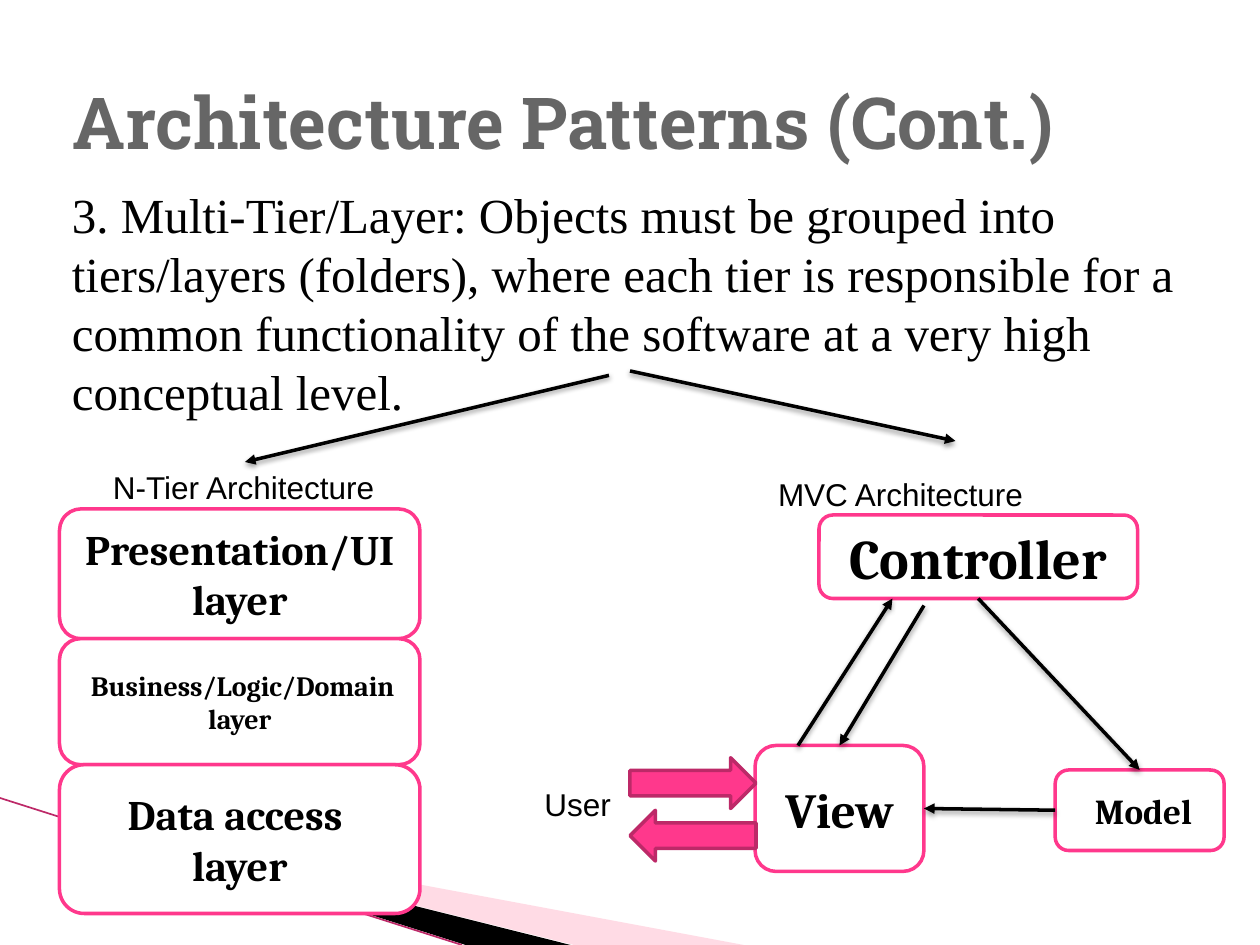
from lxml import etree
from pptx import Presentation
from pptx.dml.color import RGBColor
from pptx.enum.shapes import MSO_CONNECTOR as Connector, MSO_SHAPE as Shape
from pptx.enum.text import MSO_ANCHOR as Anchor, MSO_AUTO_SIZE as AutoSize, PP_ALIGN as Align
from pptx.oxml import parse_xml
from pptx.oxml.ns import nsdecls, qn
from pptx.util import Pt

BLACK, WHITE, PINK, DARK_PINK = "000000", "FFFFFF", "FF388C", "BD2968"
TOP, LEFT, BOTTOM, RIGHT = range(4)
ARROW_SHADOW = (
    f'<a:effectLst {nsdecls("a")}>'
    '<a:outerShdw blurRad="39370" dist="20320" dir="5400000" rotWithShape="0">'
    '<a:srgbClr val="000000"><a:alpha val="38000"/></a:srgbClr>'
    '</a:outerShdw></a:effectLst>'
)


def color(value):
    return RGBColor.from_string(value)


def points(*values):
    return [Pt(value) for value in values]


def write(paragraph, text, size, font_name, font_color=BLACK, bold=False):
    for index, line in enumerate(text.split("\n")):
        if index:
            paragraph.add_line_break()
        run = paragraph.add_run()
        run.text = line
        font = run.font
        font.size, font.name, font.bold = Pt(size), font_name, bold
        font.color.rgb = color(font_color)


def add_text(slide, box, text, size, font_name, wrap=False):
    frame = slide.shapes.add_textbox(*points(*box)).text_frame
    frame.word_wrap = wrap
    write(frame.paragraphs[0], text, size, font_name)


def add_shape(slide, kind, box, fill, line):
    shape = slide.shapes.add_shape(kind, *points(*box))
    shape.shadow.inherit = False
    shape.fill.solid()
    shape.fill.fore_color.rgb = color(fill)
    shape.line.color.rgb = color(line)
    shape.line.width = Pt(2)
    return shape


def add_component(slide, box, text, size):
    shape = add_shape(slide, Shape.ROUNDED_RECTANGLE, box, WHITE, PINK)
    frame = shape.text_frame
    frame.word_wrap = True
    frame.vertical_anchor = Anchor.MIDDLE
    frame.paragraphs[0].alignment = Align.CENTER
    write(frame.paragraphs[0], text, size, "Cambria", bold=True)
    return shape


def add_line(slide, start, end, line_color, width):
    line = slide.shapes.add_connector(Connector.STRAIGHT, *points(*start, *end))
    line.line.color.rgb = color(line_color)
    line.line.width = Pt(width)
    return line


def add_arrow(slide, start, end, begin_joint=None, end_joint=None):
    arrow = add_line(slide, start, end, BLACK, 2)
    if begin_joint:
        arrow.begin_connect(*begin_joint)
    if end_joint:
        arrow.end_connect(*end_joint)
    etree.SubElement(arrow.line._get_or_add_ln(), qn("a:tailEnd"), type="triangle")
    arrow._element.spPr.append(parse_xml(ARROW_SHADOW))


def add_wedge(slide, corners, fill, opacity=100):
    corners = [points(*corner) for corner in corners]
    builder = slide.shapes.build_freeform(*corners[0])
    builder.add_line_segments(corners[1:])
    wedge = builder.convert_to_shape()
    wedge.shadow.inherit = False
    wedge.fill.solid()
    wedge.fill.fore_color.rgb = color(fill)
    wedge.line.fill.background()
    if opacity < 100:
        swatch = wedge._element.spPr.find(f'.//{qn("a:srgbClr")}')
        etree.SubElement(swatch, qn("a:alpha"), val=str(opacity * 1000))


def add_decoration(slide, left, bottom):
    tip = (left + 39, bottom - 72)
    add_wedge(slide, [tip, (left + 425, bottom), (left + 328, bottom)], "FFA5BF", 40)
    add_wedge(slide, [tip, (left + 326, bottom), (left + 266, bottom)], BLACK)
    line = add_line(slide, (left, bottom - 84), (left + 264, bottom), DARK_PINK, 0.95)
    etree.SubElement(line._element.spPr, qn("a:effectLst"))


def add_heading(slide, left, top, width):
    title = slide.shapes.title
    title.left, title.top, title.width, title.height = points(left, top, width, 66)
    frame = title.text_frame
    frame.word_wrap = True
    frame.auto_size = AutoSize.NONE
    frame.vertical_anchor = Anchor.MIDDLE
    frame.paragraphs[0].alignment = Align.LEFT
    write(frame.paragraphs[0], "Architecture Patterns (Cont.)", 41, "Roboto Slab", "666666", True)
    add_text(
        slide, (left, top + 66, 652, 143),
        "3. Multi-Tier/Layer: Objects must be grouped into tiers/layers (folders), "
        "where each tier is responsible for a common functionality of the software "
        "at a very high conceptual level.",
        28, "Times New Roman", wrap=True)


def add_tiers(slide, left, top, width):
    add_text(slide, (left + 23.5, top, 166, 29), "N-Tier Architecture", 18, "Arial")
    tier_top = top + 26.8
    for text, size, height in [
        ("Presentation/UI layer", 24, 74.2),
        (" Business/Logic/Domain layer", 16, 72),
        ("Data access \nlayer", 24, 85),
    ]:
        add_component(slide, (left, tier_top, width, height), text, size)
        tier_top += height


def add_mvc(slide, left, top):
    add_text(slide, (left + 133.5, top - 0.3, 156, 29), "MVC Architecture", 18, "Arial")
    controller = add_component(
        slide, (left + 164, top + 26.3, 182, 47.7), "Controller", 32)
    model = add_component(slide, (left + 299, top + 172, 96.5, 46), " Model", 20)
    view = add_component(slide, (left + 127.5, top + 158, 96.5, 72), "View", 28)

    add_text(slide, (left, top + 177, 56, 30), "User", 18, "Arial", wrap=True)
    for offset, rotation in [(165, 0), (195, 180)]:
        block_arrow = add_shape(
            slide, Shape.RIGHT_ARROW, (left + 56, top + offset, 72, 29), PINK, DARK_PINK)
        block_arrow.rotation = rotation

    add_arrow(slide, (left + 152, top + 158), (left + 206, top + 74))
    add_arrow(slide, (left + 224, top + 78), (left + 176, top + 158), None, (view, TOP))
    add_arrow(slide, (left + 255, top + 74), (left + 347, top + 172),
              (controller, BOTTOM), (model, TOP))
    add_arrow(slide, (left + 299, top + 195), (left + 224, top + 194),
              (model, LEFT), (view, RIGHT))


def main():
    presentation = Presentation()
    presentation.slide_width, presentation.slide_height = points(720, 540)
    slide = presentation.slides.add_slide(presentation.slide_layouts[5])
    add_decoration(slide, 0, 540)
    add_heading(slide, 34, 36, 684)
    add_arrow(slide, (348, 214.5), (140, 264))
    add_arrow(slide, (360, 212), (546, 252))
    add_tiers(slide, 34, 264, 206)
    add_mvc(slide, 304, 268)
    presentation.save("out.pptx")


if __name__ == "__main__":
    main()
